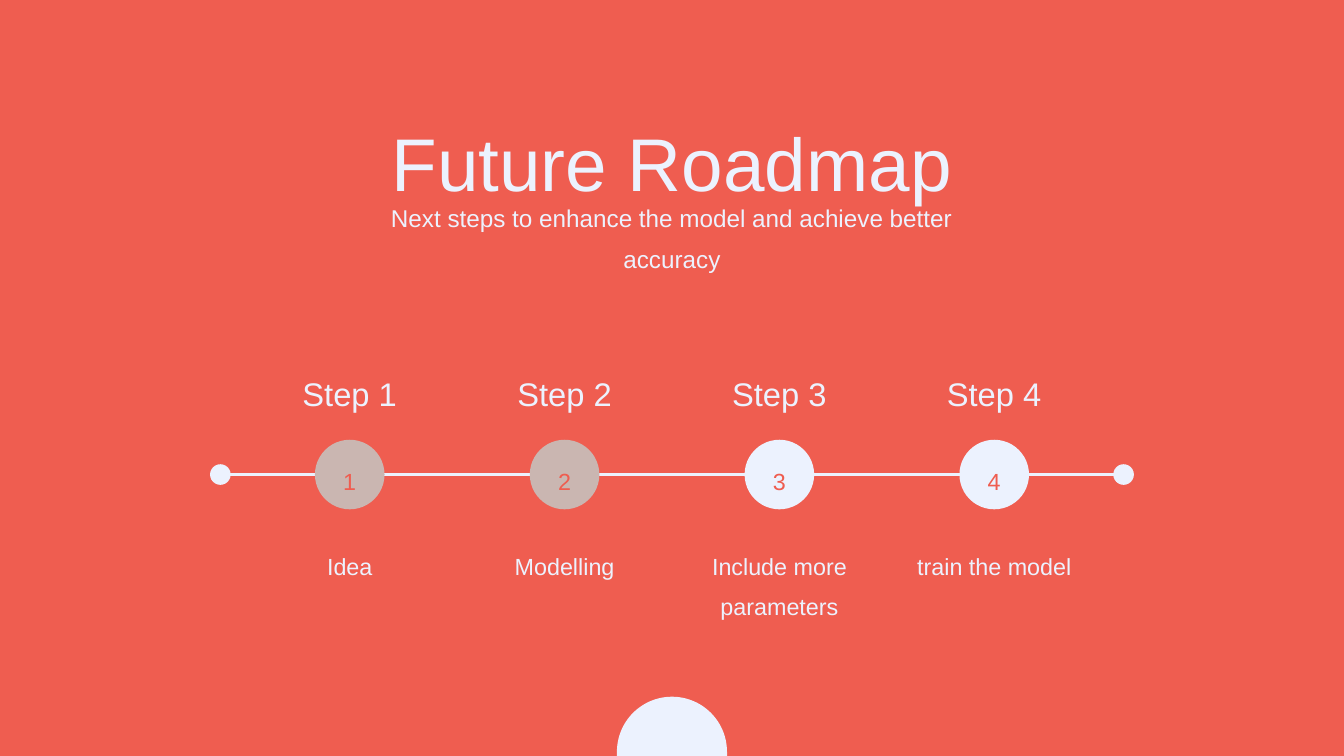
import math

import pptx
import pptx.dml.color
import pptx.enum.shapes
import pptx.enum.text
import pptx.oxml.ns
import pptx.util
from lxml import etree

Cm = pptx.util.Cm
CORAL = pptx.dml.color.RGBColor(0xEF, 0x5D, 0x50)
ICE = pptx.dml.color.RGBColor(0xEC, 0xF2, 0xFE)
TAUPE = pptx.dml.color.RGBColor(0xCA, 0xB6, 0xB1)
OVAL = pptx.enum.shapes.MSO_SHAPE.OVAL

MIDDLE = 25.4
AXIS_Y = 17.94
STEP_GAP = 8.12

roadmap = pptx.Presentation()
roadmap.slide_width = Cm(50.8)
roadmap.slide_height = Cm(28.58)
slide = roadmap.slides.add_slide(roadmap.slide_layouts[6])
slide.background.fill.solid()
slide.background.fill.fore_color.rgb = CORAL


def add_text(text, *, center, top, width, height, size, spacing, color=ICE):
    box = slide.shapes.add_textbox(Cm(center - width / 2), Cm(top), Cm(width), Cm(height))
    frame = box.text_frame
    frame.word_wrap = True
    frame.margin_left = frame.margin_right = frame.margin_top = frame.margin_bottom = 0
    paragraph = frame.paragraphs[0]
    paragraph.alignment = pptx.enum.text.PP_ALIGN.CENTER
    paragraph.line_spacing = spacing
    run = paragraph.add_run()
    run.text = text
    run.font.name = "Arial"
    run.font.size = pptx.util.Pt(size)
    run.font.color.rgb = color


def add_disc(center, diameter, color):
    disc = slide.shapes.add_shape(
        OVAL, Cm(center - diameter / 2), Cm(AXIS_Y - diameter / 2), Cm(diameter), Cm(diameter))
    disc.shadow.inherit = False
    disc.fill.solid()
    disc.fill.fore_color.rgb = color
    disc.line.fill.background()


# Dome at the bottom edge
radius, dome_y, bottom = 2.08, 28.42, 28.58
arc = [(Cm(MIDDLE - radius * math.cos(math.radians(angle))),
        Cm(dome_y - radius * math.sin(math.radians(angle)))) for angle in range(0, 181, 3)]
outline = slide.shapes.build_freeform(Cm(MIDDLE - radius), Cm(bottom))
outline.add_line_segments(arc + [(Cm(MIDDLE + radius), Cm(bottom))], close=True)
dome = outline.convert_to_shape()
dome.shadow.inherit = False
dome.fill.solid()
dome.fill.fore_color.rgb = ICE
dome.line.fill.background()

# Heading
add_text("Future Roadmap", center=MIDDLE, top=3.4, width=24.03, height=2.84,
         size=80, spacing=1.3)
add_text("Next steps to enhance the model and achieve better accuracy",
         center=MIDDLE, top=7.21, width=24.03, height=2.51, size=26, spacing=1.42)

# Timeline with its end dots
line_start, line_end = MIDDLE - 17.07, MIDDLE + 17.07
timeline = slide.shapes.add_connector(
    pptx.enum.shapes.MSO_CONNECTOR.STRAIGHT,
    Cm(line_start), Cm(AXIS_Y), Cm(line_end), Cm(AXIS_Y))
timeline.line.color.rgb = ICE
timeline.line.width = pptx.util.Pt(4)
etree.SubElement(timeline._element.spPr, pptx.oxml.ns.qn("a:effectLst"))
for end in (line_start, line_end):
    add_disc(end, 0.78, ICE)

# Steps: title, numbered disc and description
steps = [
    ("Idea", TAUPE),
    ("Modelling", TAUPE),
    ("Include more parameters", ICE),
    ("train the model", ICE),
]
for number, (description, disc_color) in enumerate(steps, start=1):
    center = MIDDLE + (number - 2.5) * STEP_GAP
    add_disc(center, 2.63, disc_color)
    add_text(str(number), center=center, top=17.37, width=1.19, height=1.09,
             size=25, spacing=1.26, color=CORAL)
    add_text(f"Step {number}", center=center, top=13.69, width=6.08, height=1.57,
             size=35, spacing=1.3)
    add_text(description, center=center, top=20.45, width=6.08, height=2.46,
             size=25, spacing=1.42)

roadmap.save("out.pptx")
